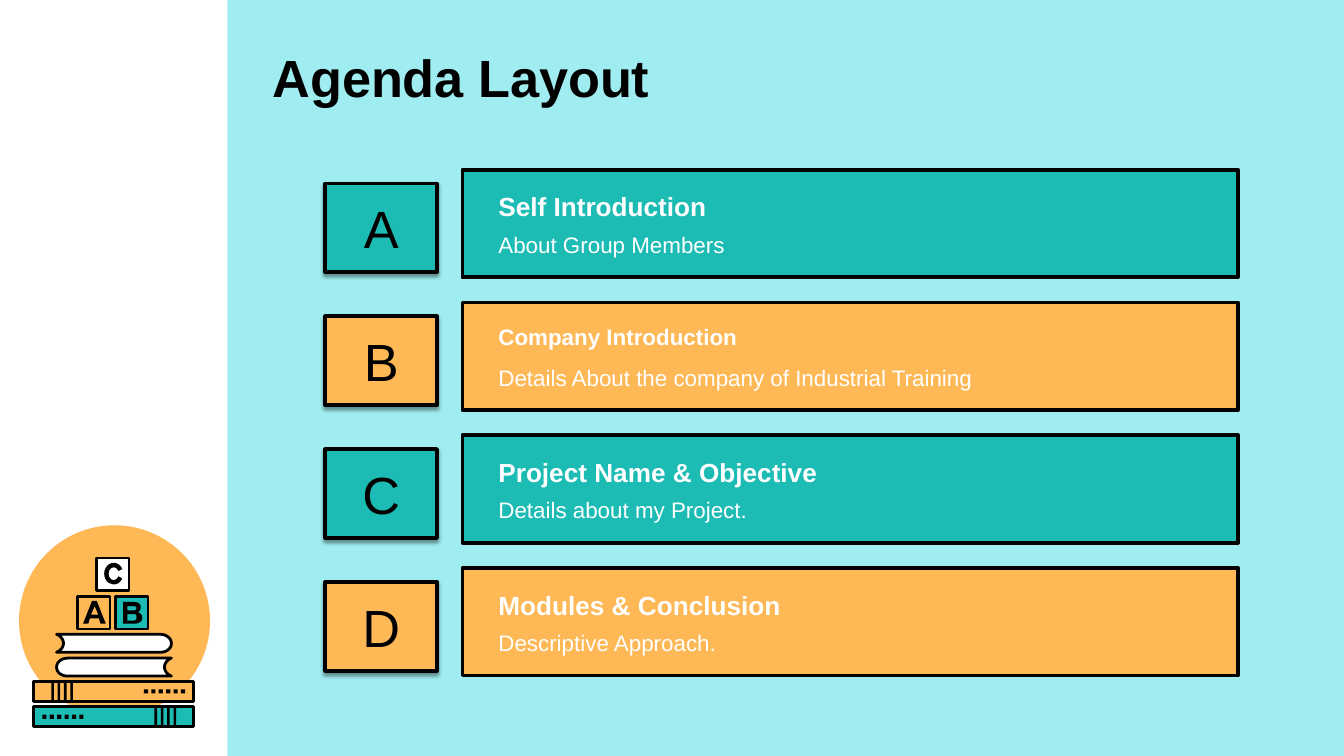
from dataclasses import dataclass

from lxml.etree import SubElement
from pptx import Presentation
from pptx.dml.color import RGBColor as RGB
from pptx.enum.shapes import MSO_SHAPE as Preset
from pptx.enum.text import MSO_ANCHOR as Anchor, MSO_AUTO_SIZE as AutoSize, PP_ALIGN as Align
from pptx.oxml.ns import qn
from pptx.util import Cm, Pt


@dataclass(frozen=True)
class Theme:
    font: str = "Arial"
    aqua: str = "9FEDF0"
    teal: str = "1CBBB4"
    orange: str = "FEB856"
    black: str = "000000"
    white: str = "FFFFFF"
    title: int = 28
    letter: int = 28
    heading: int = 14
    small: int = 12
    thick: float = 2
    thin: float = 1.5


THEME = Theme()
AGENDA = [
    ("A", "Self Introduction", "About Group Members", THEME.heading),
    ("B", "Company Introduction", "Details About the company of Industrial Training", THEME.small),
    ("C", "Project Name & Objective", "Details about my Project.", THEME.heading),
    ("D", "Modules & Conclusion", "Descriptive Approach.", THEME.heading),
]

# Outlines in cm from the top left corner; six numbers make a Bézier curve.
LETTER_A = [
    [(0.22, 0.1), (0.15, 0.26), (0.29, 0.26)],
    [(0.17, 0), (0.26, 0), (0.43, 0.43), (0.33, 0.43), (0.3, 0.33),
     (0.13, 0.33), (0.1, 0.43), (0, 0.43)],
]
LETTER_B = [
    [(0.08, 0.23), (0.08, 0.35), (0.2, 0.35),
     (0.25, 0.34, 0.25, 0.33, 0.25, 0.29), (0.25, 0.25, 0.25, 0.23, 0.2, 0.23)],
    [(0.08, 0.08), (0.08, 0.16), (0.2, 0.16),
     (0.23, 0.16, 0.25, 0.15, 0.25, 0.12), (0.25, 0.09, 0.23, 0.08, 0.2, 0.08)],
    [(0, 0), (0.2, 0), (0.3, 0, 0.33, 0.05, 0.33, 0.09),
     (0.33, 0.15, 0.3, 0.18, 0.28, 0.2), (0.33, 0.21, 0.36, 0.25, 0.36, 0.3),
     (0.36, 0.37, 0.29, 0.41, 0.2, 0.41), (0, 0.41)],
]
OPEN_BOOK = [
    [(0, 0), (1.96, 0), (2.08, 0, 2.17, 0.08, 2.17, 0.17),
     (2.17, 0.27, 2.08, 0.34, 1.96, 0.34), (0, 0.34),
     (0.08, 0.31, 0.13, 0.24, 0.13, 0.17), (0.13, 0.1, 0.08, 0.03, 0, 0)],
]


def paint(shape, fill, line_width=0):
    shape.shadow.inherit = False
    shape.fill.solid()
    shape.fill.fore_color.rgb = RGB.from_string(fill)
    if line_width:
        shape.line.color.rgb = RGB.from_string(THEME.black)
        shape.line.width = Pt(line_width)
    else:
        shape.line.fill.background()


def add_box(shapes, box, fill, line_width=0, preset=Preset.RECTANGLE):
    shape = shapes.add_shape(preset, *map(Cm, box))
    paint(shape, fill, line_width)
    return shape


def write(shape, text, size, color, bold=False, align=Align.LEFT, **frame_format):
    frame = shape.text_frame
    for name, value in frame_format.items():
        setattr(frame, name, value)
    paragraph = frame.paragraphs[0]
    paragraph.alignment = align
    run = paragraph.add_run()
    run.text = text
    for name, value in {"name": THEME.font, "size": Pt(size), "bold": bold}.items():
        setattr(run.font, name, value)
    run.font.color.rgb = RGB.from_string(color)


def flatten(contour, steps=8):
    """Turn the curves of a contour into short straight lines."""
    points = []
    for step in contour:
        if len(step) == 2:
            points.append(step)
            continue
        controls = [points[-1], step[:2], step[2:4], step[4:]]
        for index in range(1, steps + 1):
            t = index / steps
            weights = ((1 - t) ** 3, 3 * t * (1 - t) ** 2, 3 * t ** 2 * (1 - t), t ** 3)
            points.append(tuple(sum(w * c[axis] for w, c in zip(weights, controls))
                                for axis in (0, 1)))
    return points


def add_outline(shapes, contours, left, top, fill, line_width=0, mirror_width=None):
    builder = shapes.build_freeform(scale=Cm(1) / 1000)
    for index, contour in enumerate(contours):
        points = [((mirror_width - x if mirror_width else x) * 1000, y * 1000)
                  for x, y in flatten(contour)]
        if index == 0:
            # The pen starts at the origin, so it is moved before drawing.
            builder = shapes.build_freeform(*points[0], scale=Cm(1) / 1000)
        else:
            builder.move_to(*points[0])
        builder.add_line_segments(points[1:], close=True)
    paint(builder.convert_to_shape(Cm(left), Cm(top)), fill, line_width)


def add_closed_book(shapes, box, fill, mirrored=False):
    left, top, width, height = box
    add_box(shapes, box, fill, THEME.thin)
    stripes = [(0.33 + 0.12 * i, 0, 0.05, height) for i in range(4)]
    dots = [(2.08 + 0.14 * i, 0.15, 0.08, 0.08) for i in range(6)]
    for x, y, mark_width, mark_height in stripes + dots:
        if mirrored:
            x = width - x - mark_width
        add_box(shapes, (left + x, top + y, mark_width, mark_height), THEME.black)


def add_school_emblem(slide, box):
    left, top, width, height = box
    shapes = slide.shapes.add_group_shape().shapes
    add_box(shapes, box, THEME.orange, preset=Preset.OVAL)
    book = (left + 0.28, top + 2.95, 3.02, 0.38)
    add_closed_book(shapes, book, THEME.orange)
    add_closed_book(shapes, (book[0], book[1] + 0.48, *book[2:]), THEME.teal, mirrored=True)
    for x, y, fill in ((1.11, 1.35, THEME.orange), (1.83, 1.35, THEME.teal),
                       (1.47, 0.62, THEME.white)):
        add_box(shapes, (left + x, top + y, 0.61, 0.61), fill, THEME.thin)
    add_outline(shapes, LETTER_A, left + 1.21, top + 1.43, THEME.black)
    add_outline(shapes, LETTER_B, left + 1.97, top + 1.45, THEME.black)
    letter_c = add_box(shapes, (left + 1.61, top + 0.71, 0.36, 0.41), THEME.black,
                       preset=Preset.BLOCK_ARC)
    for index, value in enumerate((17.57, 198.9, 0.23)):
        letter_c.adjustments[index] = value
    for y, mirror_width in ((2.06, None), (2.51, 2.17)):
        add_outline(shapes, OPEN_BOOK, left + 0.71, top + y, THEME.white, THEME.thin, mirror_width)


def add_drop_shadow(shape):
    effects = shape.element.spPr.find(qn("a:effectLst"))
    shadow = SubElement(effects, qn("a:outerShdw"), blurRad=str(Pt(2)), dist=str(Pt(1.5)),
                        dir="5400000", algn="ctr", rotWithShape="0")
    color = SubElement(shadow, qn("a:srgbClr"), val=THEME.black)
    SubElement(color, qn("a:alpha"), val="40000")


def add_agenda_row(slide, box, fill, letter, heading, detail, heading_size):
    left, top, width, height = box
    badge = add_box(slide.shapes, (left, top + 0.26, 2.11, 1.68), fill, THEME.thick)
    add_drop_shadow(badge)
    write(badge, letter, THEME.letter, THEME.black, align=Align.CENTER,
          vertical_anchor=Anchor.MIDDLE, word_wrap=False)
    add_box(slide.shapes, (left + 2.59, top, width - 2.59, height), fill, THEME.thick)
    texts = slide.shapes.add_group_shape().shapes
    for text, y, size, bold in ((heading, 0.27, heading_size, True),
                                (detail, 1.03, THEME.small, False)):
        text_height = 0.86 if size == THEME.heading else 0.76
        text_box = texts.add_textbox(*map(Cm, (left + 3.02, top + y, 13.21, text_height)))
        write(text_box, text, size, THEME.white, bold,
              word_wrap=True, auto_size=AutoSize.SHAPE_TO_FIT_TEXT)


def add_agenda(slide, box, pitch=2.51):
    left, top, width, row_height = box
    for index, entry in enumerate(AGENDA):
        fill = (THEME.teal, THEME.orange)[index % 2]
        add_agenda_row(slide, (left, top + index * pitch, width, row_height), fill, *entry)


def place_title(slide, box, text):
    title = slide.shapes.title
    for name, value in zip(("left", "top", "width", "height"), box):
        setattr(title, name, Cm(value))
    write(title, text, THEME.title, THEME.black, bold=True, vertical_anchor=Anchor.TOP,
          word_wrap=True, auto_size=AutoSize.NONE, margin_top=Cm(0.25), margin_left=Cm(0.25))
    title.element.getparent().append(title.element)  # bring in front of the panel


def main():
    presentation = Presentation()
    presentation.slide_width, presentation.slide_height = Cm(25.4), Cm(14.29)
    slide = presentation.slides.add_slide(presentation.slide_layouts[5])
    add_box(slide.shapes, (4.3, 0, 21.1, 14.29), THEME.aqua)
    add_school_emblem(slide, (0.36, 9.93, 3.61, 3.61))
    place_title(slide, (4.9, 0.61, 20.5, 2.16), "Agenda Layout")
    add_agenda(slide, (6.15, 3.21, 17.25, 2.03))
    presentation.save("out.pptx")


if __name__ == "__main__":
    main()
